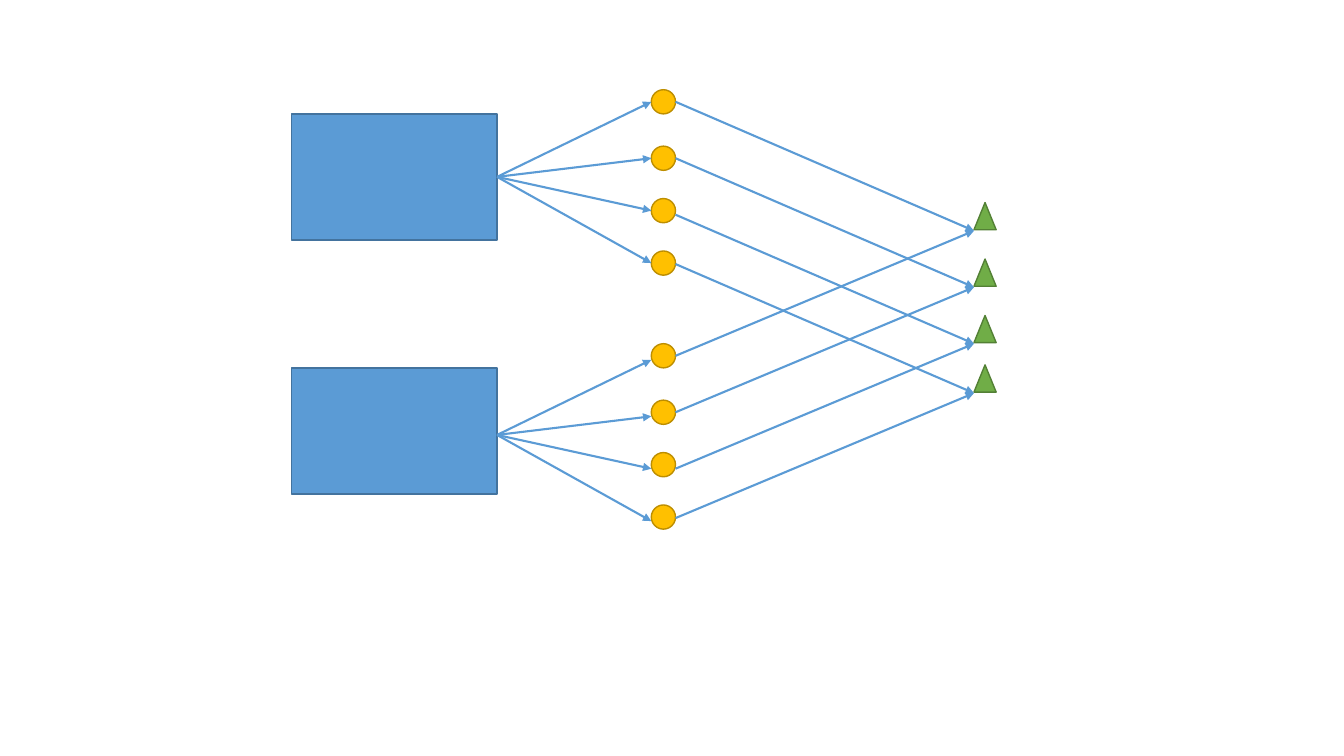
"""Build a slide where two boxes fan out to dots that link to shared triangles."""
from pptx import Presentation, util as u
from pptx.dml.color import RGBColor
from pptx.enum import shapes as s
from pptx.oxml.ns import qn
from lxml import etree

LOOKS = {
    "box": (s.MSO_SHAPE.RECTANGLE, "5B9BD5", "43739E"),
    "dot": (s.MSO_SHAPE.OVAL, "FFC000", "BD8E00"),
    "goal": (s.MSO_SHAPE.ISOSCELES_TRIANGLE, "70AD47", "538035"),
}
DOTS = (0, 0.56, 1.08, 1.6)
GOALS = (0, 0.56, 1.12, 1.61)
DOT = 0.24
GOAL = (0.22, 0.27)


def color(code):
    """Turn a hex string into a colour."""
    return RGBColor.from_string(code)


def draw(slide, kind, x, y, w, h):
    """Add one shape of the given kind."""
    form, fill, edge = LOOKS[kind]
    item = slide.shapes.add_shape(form, *map(u.Inches, (x, y, w, h)))
    item.shadow.inherit = False
    item.fill.solid()
    item.fill.fore_color.rgb = color(fill)
    for name, value in {"width": u.Pt(1)}.items():
        setattr(item.line, name, value)
    item.line.color.rgb = color(edge)
    return item


def arrow(slide, x1, y1, x2, y2):
    """Add one arrow between two points."""
    link = slide.shapes.add_connector(
        s.MSO_CONNECTOR.STRAIGHT, *map(u.Inches, (x1, y1, x2, y2)))
    link.line.color.rgb = color("5B9BD5")
    link.line.width = u.Pt(1.5)
    props = link.line._get_or_add_ln()
    etree.SubElement(props, qn("a:tailEnd"), type="triangle")
    etree.SubElement(link._element.spPr, qn("a:effectLst"))
    return link


def targets(slide, x, y):
    """Draw the triangles and return the points where links land."""
    w, h = GOAL
    for gap in GOALS:
        draw(slide, "goal", x, y + gap, w, h)
    return [(x, y + gap + h + 0.01) for gap in GOALS]


def group(slide, x, y, w, h, shift, rise, ends):
    """Draw a box, its fan of dots, and the links to the targets."""
    box = draw(slide, "box", x, y, w, h)
    left = x + w + 1.53
    for gap, (ex, ey) in zip(DOTS, ends):
        top = y - DOT + gap
        draw(slide, "dot", left, top, DOT, DOT)
        ray = arrow(slide, x + w, y + h / 2 + shift,
                    left, top + DOT / 2 + shift)
        if not shift:
            ray.begin_connect(box, 3)
        arrow(slide, left + DOT, ey + rise, ex, ey)


def main():
    """Build and save the slide."""
    deck = Presentation()
    deck.slide_width, deck.slide_height = u.Inches(13.33), u.Inches(7.5)
    slide = deck.slides.add_slide(deck.slide_layouts[6])
    ends = targets(slide, 9.66, 2.01)
    for y, shift, rise in ((3.65, 0.04, 1.24), (1.13, 0, -1.28)):
        group(slide, 2.89, y, 2.04, 1.25, shift, rise, ends)
    deck.save("out.pptx")


if __name__ == "__main__":
    main()
